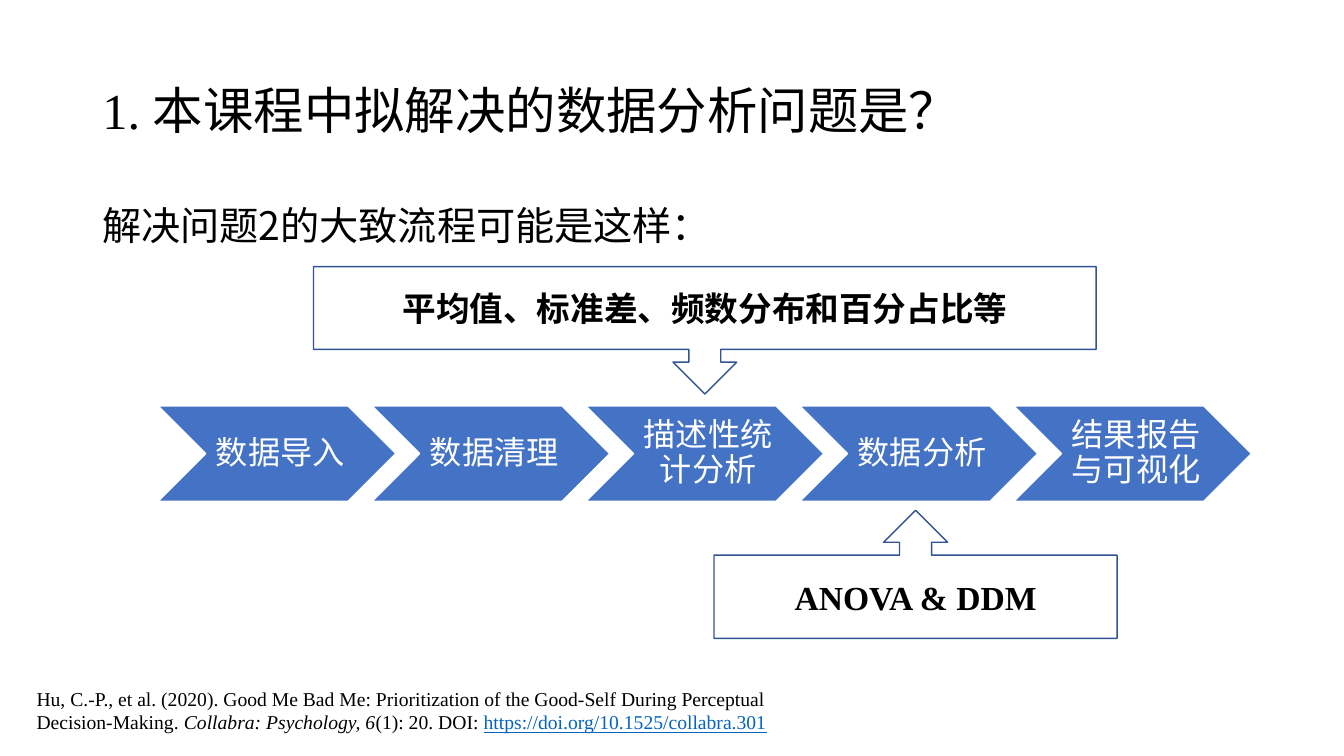
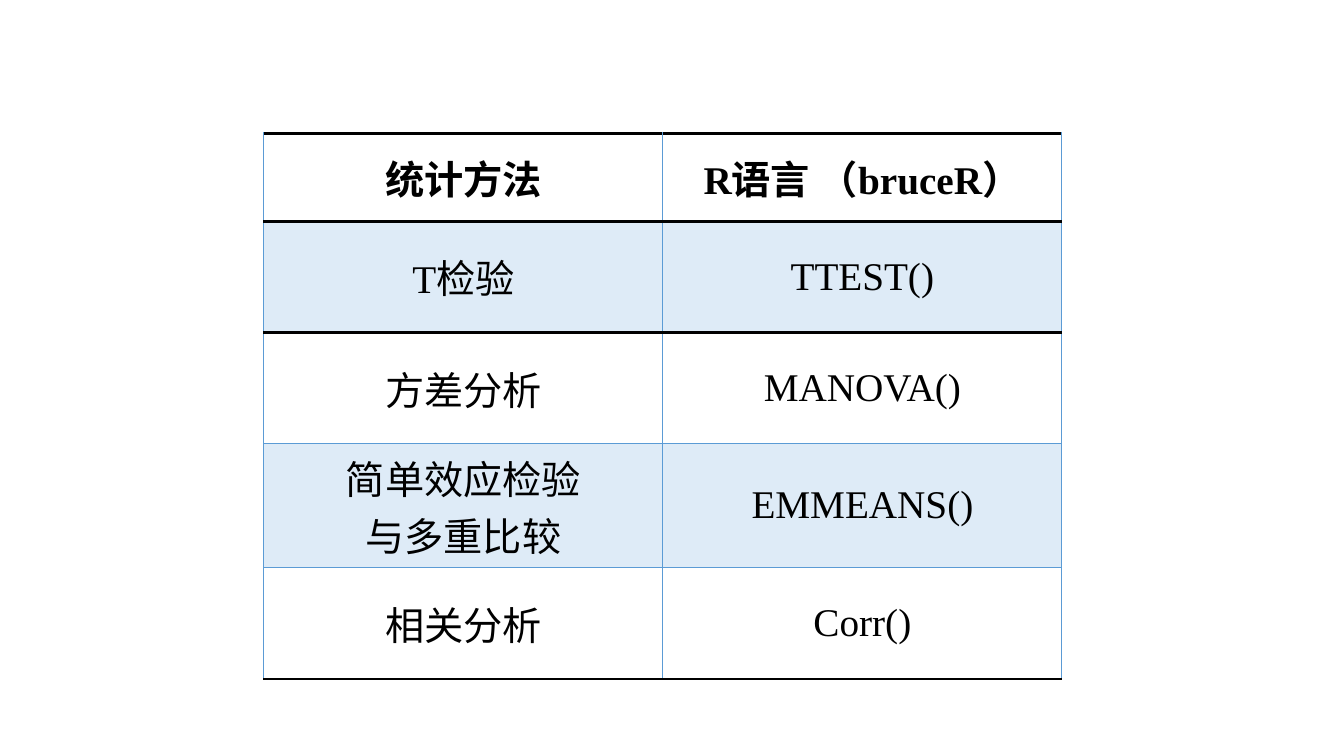
from lxml import etree
from pptx import Presentation
from pptx.dml.color import RGBColor
from pptx.enum.shapes import MSO_SHAPE
from pptx.enum.text import MSO_ANCHOR, MSO_AUTO_SIZE, PP_ALIGN
from pptx.oxml.ns import qn
from pptx.util import Pt

BLACK = RGBColor(0x00, 0x00, 0x00)
WHITE = RGBColor(0xFF, 0xFF, 0xFF)
BLUE = RGBColor(0x44, 0x72, 0xC4)
DARK_BLUE = RGBColor(0x32, 0x54, 0x91)
LINK_BLUE = RGBColor(0x05, 0x63, 0xC1)
GRID_BLUE = RGBColor(0x5B, 0x9B, 0xD5)
BAND_BLUE = RGBColor(0xDE, 0xEB, 0xF7)

SERIF = "Times New Roman"
CHINESE = "Noto Sans CJK SC"
LEFT, CENTER = PP_ALIGN.LEFT, PP_ALIGN.CENTER
TOP, MIDDLE = MSO_ANCHOR.TOP, MSO_ANCHOR.MIDDLE
CHEVRON = MSO_SHAPE.CHEVRON
UP_CALLOUT = MSO_SHAPE.UP_ARROW_CALLOUT
DOWN_CALLOUT = MSO_SHAPE.DOWN_ARROW_CALLOUT
TITLE_ONLY, BLANK = 5, 6

STEPS = ["数据导入", "数据清理", "描述性统计分析", "数据分析", "结果报告与可视化"]
METHODS = [
    ("统计方法", "R语言 （bruceR）"),
    ("T检验", "TTEST()"),
    ("方差分析", "MANOVA()"),
    ("简单效应检验\n与多重比较", "EMMEANS()"),
    ("相关分析", "Corr()"),
]
ROW_HEIGHTS = [62.5, 79.5, 79.5, 88.5, 79.5]
HEAVY_RULES = {0, 1, 2, len(METHODS)}


def points(box):
    return [Pt(value) for value in box]


def write(frame, paragraphs, size, align=LEFT, anchor=TOP, spacing=1.0, **base):
    """Fill a frame with paragraphs, each a list of (text, format values)."""
    frame.word_wrap = True
    frame.vertical_anchor = anchor
    for index, spans in enumerate(paragraphs):
        para = frame.add_paragraph() if index else frame.paragraphs[0]
        para.alignment = align
        para.line_spacing = spacing
        para.space_before = Pt(0)
        for text, extra in spans:
            span = para.add_run()
            span.text = text
            values = {"name": SERIF, "size": Pt(size), **base, **extra}
            span.font.color.rgb = values.pop("color", BLACK)
            for name, value in values.items():
                setattr(span.font, name, value)
            latin = span.font._element.find(qn("a:latin"))
            east_asian = etree.Element(qn("a:ea"), typeface=CHINESE)
            latin.addnext(east_asian)


def add_text(page, box, paragraphs, size, **style):
    shape = page.shapes.add_textbox(*points(box))
    write(shape.text_frame, paragraphs, size, **style)


def add_block(page, kind, box, text, size, fill, line, **style):
    """Add a filled preset shape with centred text."""
    shape = page.shapes.add_shape(kind, *points(box))
    shape.shadow.inherit = False
    shape.fill.solid()
    shape.fill.fore_color.rgb = fill
    shape.line.color.rgb = line
    shape.line.width = Pt(1)
    write(shape.text_frame, [[(text, {})]], size, align=CENTER, anchor=MIDDLE, **style)
    return shape


def add_title(page, box, spans):
    title = page.shapes.title
    title.left, title.top, title.width, title.height = points(box)
    title.text_frame.auto_size = MSO_AUTO_SIZE.NONE
    write(title.text_frame, [spans], 36, anchor=MIDDLE, spacing=0.9)


def add_process(page, box, steps):
    """Spread chevrons over the box, each step 0.9 of a chevron wide."""
    left, top, width, height = box
    chevron_width = width / (1 + 0.9 * (len(steps) - 1))
    for index, step in enumerate(steps):
        place = (left + index * 0.9 * chevron_width, top, chevron_width, height)
        shape = add_block(page, CHEVRON, place, step, 23, BLUE, WHITE,
                          spacing=0.9, name=CHINESE, color=WHITE)
        margins = {"left": 7.2, "right": 2.2, "top": 2.2, "bottom": 2.2}
        for side, margin in margins.items():
            setattr(shape.text_frame, f"margin_{side}", Pt(margin))


def set_border(cell, side, color, width):
    properties = cell._tc.get_or_add_tcPr()
    line = etree.Element(qn(f"a:ln{side}"), w=str(Pt(width)))
    fill = etree.SubElement(line, qn("a:solidFill"))
    etree.SubElement(fill, qn("a:srgbClr"), val=str(color))
    properties.append(line)


def add_methods_table(page, box, rows, heights):
    left, top, width = box
    columns = len(rows[0])
    frame = page.shapes.add_table(len(rows), columns,
                                  *points((left, top, width, sum(heights))))
    table = frame.table
    table.first_row = table.horz_banding = False
    for column in table.columns:
        column.width = Pt(width / columns)
    for row, texts in enumerate(rows):
        table.rows[row].height = Pt(heights[row])
        for column, text in enumerate(texts):
            cell = table.cell(row, column)
            paragraphs = [[(part, {})] for part in text.split("\n")]
            write(cell.text_frame, paragraphs, 28, align=CENTER, bold=row == 0)
            cell.vertical_anchor = MIDDLE
            for side, rule in {"L": None, "R": None, "T": row, "B": row + 1}.items():
                heavy = rule in HEAVY_RULES
                set_border(cell, side, BLACK if heavy else GRID_BLUE,
                           2.25 if heavy else 1)
            if row % 2:
                cell.fill.solid()
                cell.fill.fore_color.rgb = BAND_BLUE
            else:
                cell.fill.background()


def build_process_slide(deck):
    page = deck.slides.add_slide(deck.slide_layouts[TITLE_ONLY])
    add_title(page, (66, 29, 828, 104),
              [("1. 本课程中拟解决", {}), ("的数据分析问题是？", {"name": CHINESE})])
    add_text(page, (66, 144, 828, 44), [[("解决问题2的大致流程可能是这样：", {})]],
             28, spacing=0.9, name=CHINESE)
    add_process(page, (113, 290, 781, 68), STEPS)
    add_block(page, UP_CALLOUT, (510, 364.5, 288, 91.5), "ANOVA & DDM",
              24, WHITE, DARK_BLUE, bold=True)
    add_block(page, DOWN_CALLOUT, (224, 190.5, 559, 91), "平均值、标准差、频数分布和百分占比等",
              24, WHITE, DARK_BLUE, name=CHINESE, bold=True)
    add_text(page, (19, 487, 583, 41), [[
        ("Hu, C.-P., et al. (2020). Good Me Bad Me: Prioritization of the "
         "Good-Self During Perceptual Decision-Making. ", {}),
        ("Collabra: Psychology, 6", {"italic": True}),
        ("(1): 20. DOI: ", {}),
        ("https://doi.org/10.1525/collabra.301",
         {"color": LINK_BLUE, "underline": True}),
    ]], 14)


def build_methods_slide(deck):
    page = deck.slides.add_slide(deck.slide_layouts[BLANK])
    add_methods_table(page, (188.5, 95.5, 570), METHODS, ROW_HEIGHTS)


def main():
    deck = Presentation()
    deck.slide_width, deck.slide_height = Pt(960), Pt(540)
    build_process_slide(deck)
    build_methods_slide(deck)
    deck.save("out.pptx")


if __name__ == "__main__":
    main()
